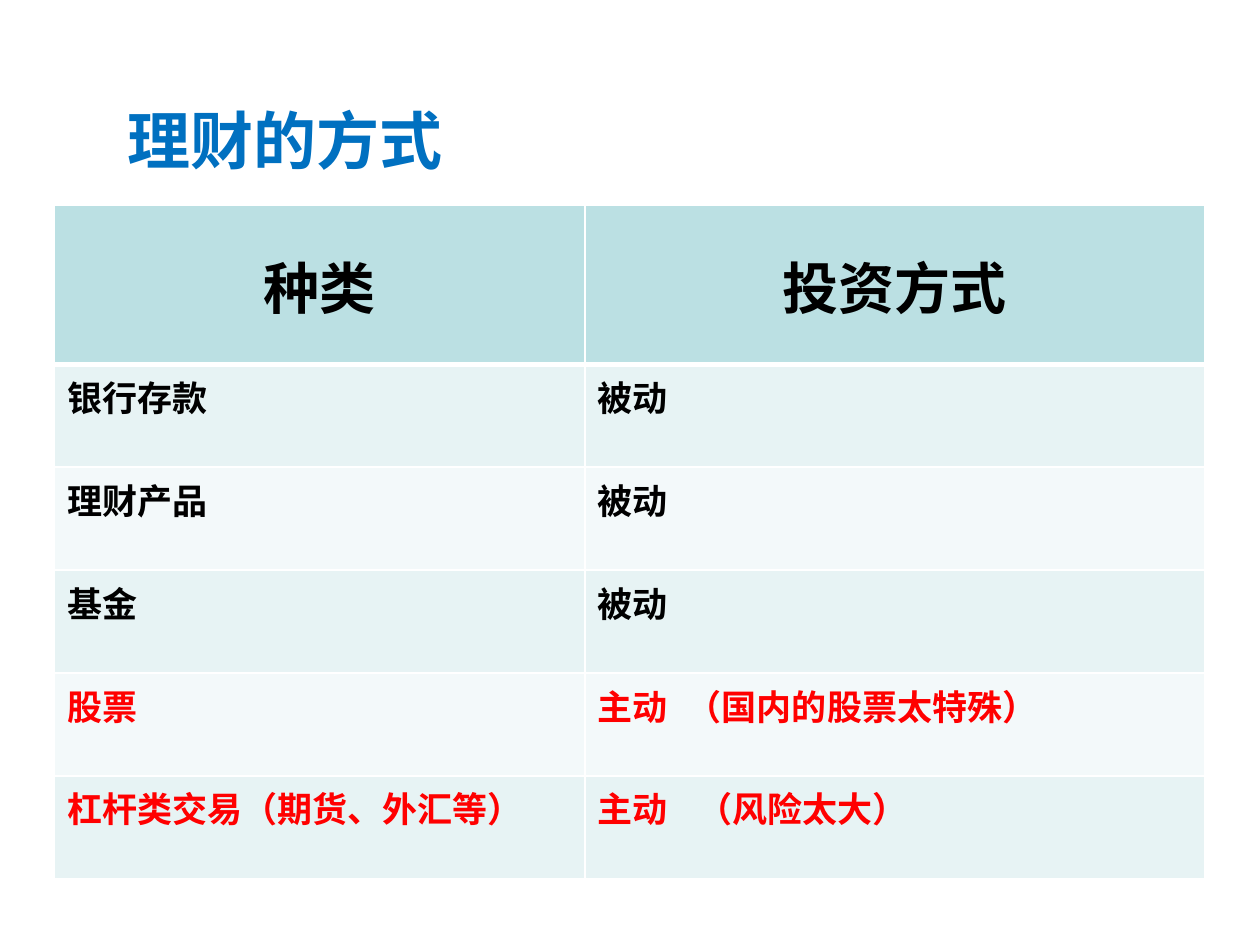
from lxml import etree
from pptx import Presentation
from pptx.dml.color import RGBColor
from pptx.enum.text import MSO_ANCHOR, PP_ALIGN
from pptx.oxml.ns import qn
from pptx.util import Pt

LEFT, CENTER = PP_ALIGN.LEFT, PP_ALIGN.CENTER
TOP, MIDDLE = MSO_ANCHOR.TOP, MSO_ANCHOR.MIDDLE
CJK = "Noto Sans CJK SC"
BLACK, RED, WHITE = "000000", "FF0000", "FFFFFF"
ROWS = [
    ("种类", "投资方式"),
    ("银行存款", "被动"),
    ("理财产品", "被动"),
    ("基金", "被动"),
    ("股票", "主动\t（国内的股票太特殊）"),
    ("杠杆类交易（期货、外汇等）", "主动\t（风险太大）"),
]
TAB_STOPS = {4: 51, 5: 57}


def rgb(value):
    return RGBColor.from_string(value)


def write(tf, text, size, color, font, align, anchor):
    tf.text = text
    tf.vertical_anchor = anchor
    p = tf.paragraphs[0]
    p.alignment = align
    r = p.runs[0]
    r.font.size = Pt(size)
    r.font.bold = True
    r.font.name = font
    r.font.color.rgb = rgb(color)
    etree.SubElement(r.font._element, qn("a:ea"), typeface=CJK)


prs = Presentation()
prs.slide_width, prs.slide_height = Pt(720), Pt(540)
s = prs.slides.add_slide(prs.slide_layouts[5])

# Title
title = s.shapes.title
title.left, title.top, title.width, title.height = Pt(65.5), Pt(37.5), Pt(558), Pt(84)
write(title.text_frame, "理财的方式", 36, "0070C0", CJK, LEFT, MIDDLE)

# Table grid
table = s.shapes.add_table(len(ROWS), 2, Pt(31.2), Pt(117), Pt(657.4), Pt(385.2)).table
for column, width in zip(table.columns, (303.1, 354.3)):
    column.width = Pt(width)
for i, row in enumerate(table.rows):
    row.height = Pt(58.8 if i else 91.2)

# Table cells
for i, texts in enumerate(ROWS):
    for j, text in enumerate(texts):
        cell = table.cell(i, j)
        if i == 0:
            write(cell.text_frame, text, 32, BLACK, "Arial", CENTER, MIDDLE)
            cell.vertical_anchor = MIDDLE
            fill = "BBE0E3"
        else:
            color = RED if i in TAB_STOPS else BLACK
            write(cell.text_frame, text, 20, color, "Arial", LEFT, TOP)
            cell.vertical_anchor = TOP
            fill = "E7F3F4" if i % 2 else "F3F9FA"

        # Tab stop before the remark in brackets
        if "\t" in text:
            pPr = cell.text_frame.paragraphs[0]._p.get_or_add_pPr()
            tabs = etree.SubElement(pPr, qn("a:tabLst"))
            etree.SubElement(tabs, qn("a:tab"), pos=str(Pt(TAB_STOPS[i])), algn="l")

        # White borders, thicker under the header
        tcPr = cell._tc.get_or_add_tcPr()
        for side in ("lnL", "lnR", "lnT", "lnB"):
            thick = (i, side) in ((0, "lnB"), (1, "lnT"))
            ln = etree.SubElement(tcPr, qn("a:" + side), w=str(Pt(3 if thick else 1)))
            solid = etree.SubElement(ln, qn("a:solidFill"))
            etree.SubElement(solid, qn("a:srgbClr"), val=WHITE)
        cell.fill.solid()
        cell.fill.fore_color.rgb = rgb(fill)

prs.save("out.pptx")
